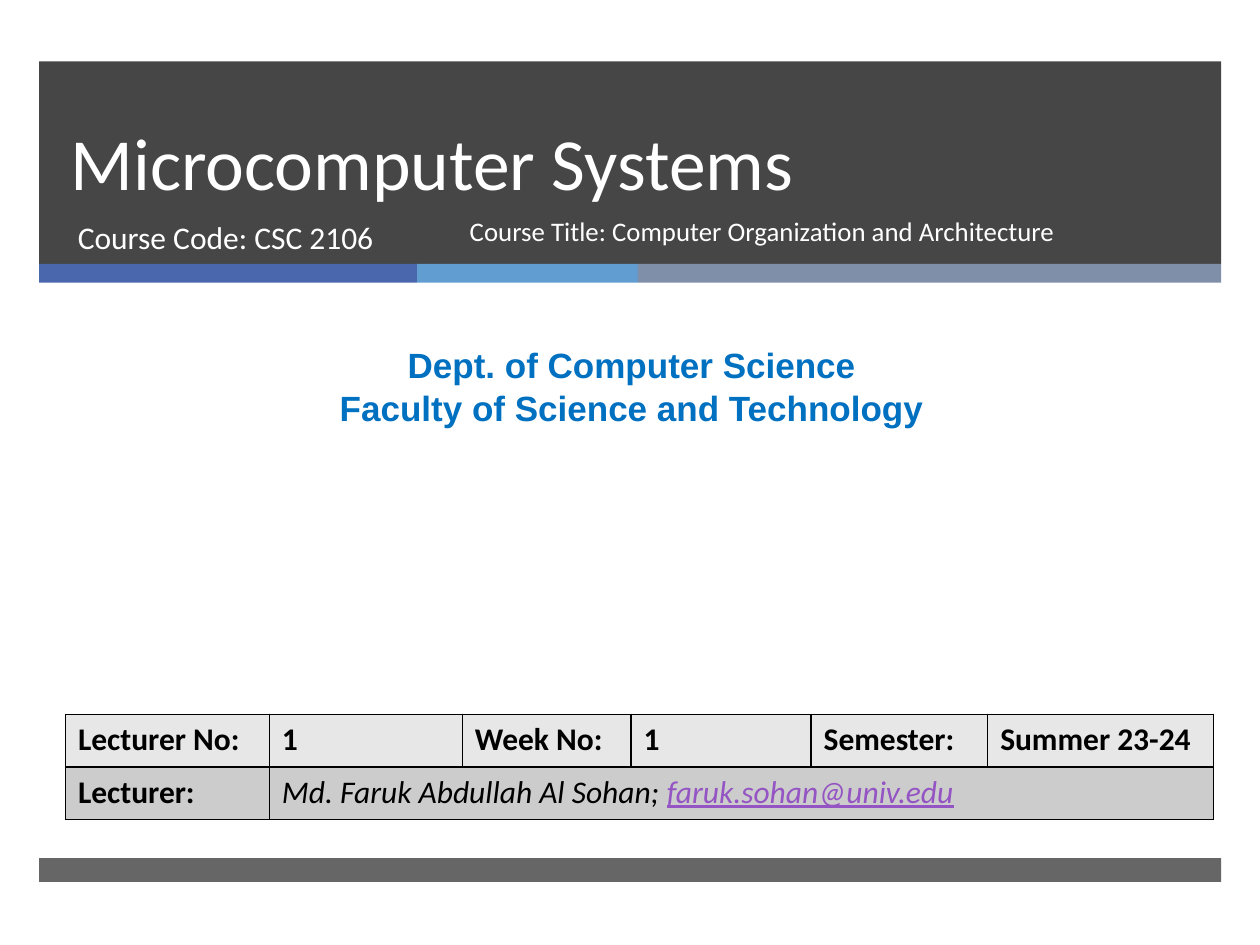
from dataclasses import dataclass, field
from itertools import accumulate

from lxml import etree
from pptx import Presentation
from pptx import util as u
from pptx.dml.color import RGBColor
from pptx.enum import shapes, text
from pptx.oxml import ns

HUES = {
    "dark": "262626", "blue": "4A66AC", "sky": "629DD1", "slate": "7F8FA9",
    "dept": "0070C0", "white": "FFFFFF", "black": "000000", "mail": "9454C3",
    "light": "E7E7E7", "grey": "CCCCCC",
}
EDGE = 0.79
WIDE = 23.83
BOLD = {"name": "Calibri", "size": u.Pt(18), "bold": True}
SLANT = {"name": "Calibri", "size": u.Pt(18), "bold": False, "italic": True}


@dataclass
class Band:
    left: float
    top: float
    width: float
    height: float
    hue: str
    alpha: int = 100


@dataclass
class Label:
    box: tuple[float, float, float, float]
    lines: list[str]
    font: dict
    hue: str = "white"
    para: dict = field(default_factory=dict)
    frame: dict = field(default_factory=dict)


def tint(name: str) -> RGBColor:
    return RGBColor.from_string(HUES[name])


def apply(item, style: dict) -> None:
    for key, value in style.items():
        setattr(item, key, value)


def write(para, words: str, font: dict, hue: str) -> None:
    run = para.add_run()
    run.text = words
    apply(run.font, font)
    run.font.color.rgb = tint(hue)


def draw_band(slide, band: Band) -> None:
    box = map(u.Cm, (band.left, band.top, band.width, band.height))
    shape = slide.shapes.add_shape(shapes.MSO_SHAPE.RECTANGLE, *box)
    shape.shadow.inherit = False
    shape.fill.solid()
    shape.fill.fore_color.rgb = tint(band.hue)
    shape.line.fill.background()
    if band.alpha < 100:
        color = shape.fill._xPr.find(f".//{ns.qn('a:srgbClr')}")
        etree.SubElement(color, ns.qn("a:alpha"), val=str(band.alpha * 1000))


def draw_label(slide, label: Label) -> None:
    frame = slide.shapes.add_textbox(*map(u.Cm, label.box)).text_frame
    frame.word_wrap = True
    apply(frame, label.frame)
    for i, line in enumerate(label.lines):
        para = frame.add_paragraph() if i else frame.paragraphs[0]
        apply(para, label.para)
        write(para, line, label.font, label.hue)


def frame_cell(cell, hue: str) -> None:
    props = cell._tc.get_or_add_tcPr()
    for side in ("lnL", "lnR", "lnT", "lnB"):
        line = etree.SubElement(props, ns.qn(f"a:{side}"), w=str(u.Pt(1)))
        fill = etree.SubElement(line, ns.qn("a:solidFill"))
        etree.SubElement(fill, ns.qn("a:srgbClr"), val=HUES["black"])
    cell.fill.solid()
    cell.fill.fore_color.rgb = tint(hue)


def draw_table(slide) -> None:
    widths = (4.11, 3.89, 3.4, 3.63, 3.56, 4.55)
    tall = 1.06
    heads = ("Lecturer No:", "1", "Week No:", "1", "Semester:", "Summer 23-24")
    box = map(u.Cm, (1.32, 14.4, sum(widths), 2 * tall))
    table = slide.shapes.add_table(2, len(widths), *box).table
    for col, width in zip(table.columns, widths):
        col.width = u.Cm(width)
    for row, hue in zip(table.rows, ("light", "grey")):
        row.height = u.Cm(tall)
        for cell in row.cells:
            frame_cell(cell, hue)
    for i, head in enumerate(heads):
        write(table.cell(0, i).text_frame.paragraphs[0], head, BOLD, "black")
    write(table.cell(1, 0).text_frame.paragraphs[0], "Lecturer:", BOLD, "black")
    span = table.cell(1, 1)
    span.merge(table.cell(1, 5))
    para = span.text_frame.paragraphs[0]
    write(para, "Md. Faruk Abdullah Al Sohan; ", SLANT, "black")
    write(para, "faruk.sohan@univ.edu", SLANT | {"underline": True}, "mail")


def main() -> None:
    deck = Presentation()
    apply(deck, {"slide_width": u.Cm(25.4), "slide_height": u.Cm(19.05)})
    slide = deck.slides.add_slide(deck.slide_layouts[6])

    parts = (7.62, 4.45, 11.76)
    lefts = accumulate(parts[:-1], initial=EDGE)
    bands = [Band(EDGE, 1.24, WIDE, 4.08, "dark", 85)]
    bands += [Band(left, 5.32, part, 0.38, hue)
              for left, part, hue in zip(lefts, parts, ("blue", "sky", "slate"))]
    bands.append(Band(EDGE, 17.3, WIDE, 0.48, "dark", 70))
    for band in bands:
        draw_band(slide, band)

    labels = [
        Label((1.17, 1.24, 21.69, 3.02), ["Microcomputer Systems"],
              {"name": "Calibri", "size": u.Pt(42)},
              para={"line_spacing": u.Pt(46)},
              frame={"vertical_anchor": text.MSO_ANCHOR.BOTTOM}),
        Label((1.32, 4.27, 7.75, 1.35), ["Course Code: CSC 2106"],
              {"name": "Calibri", "size": u.Pt(18)}),
        Label((0.2, 6.81, 25.07, 1.96),
              ["Dept. of Computer Science", "Faculty of Science and Technology"],
              {"name": "Arial", "size": u.Pt(20), "bold": True}, "dept",
              para={"alignment": text.PP_ALIGN.CENTER}),
        Label((9.22, 4.27, 12.32, 1.35),
              ["Course Title: Computer Organization and Architecture"],
              {"name": "Calibri", "size": u.Pt(15.3)},
              para={"line_spacing": 0.9}),
    ]
    for label in labels:
        draw_label(slide, label)
    draw_table(slide)
    deck.save("out.pptx")


if __name__ == "__main__":
    main()
